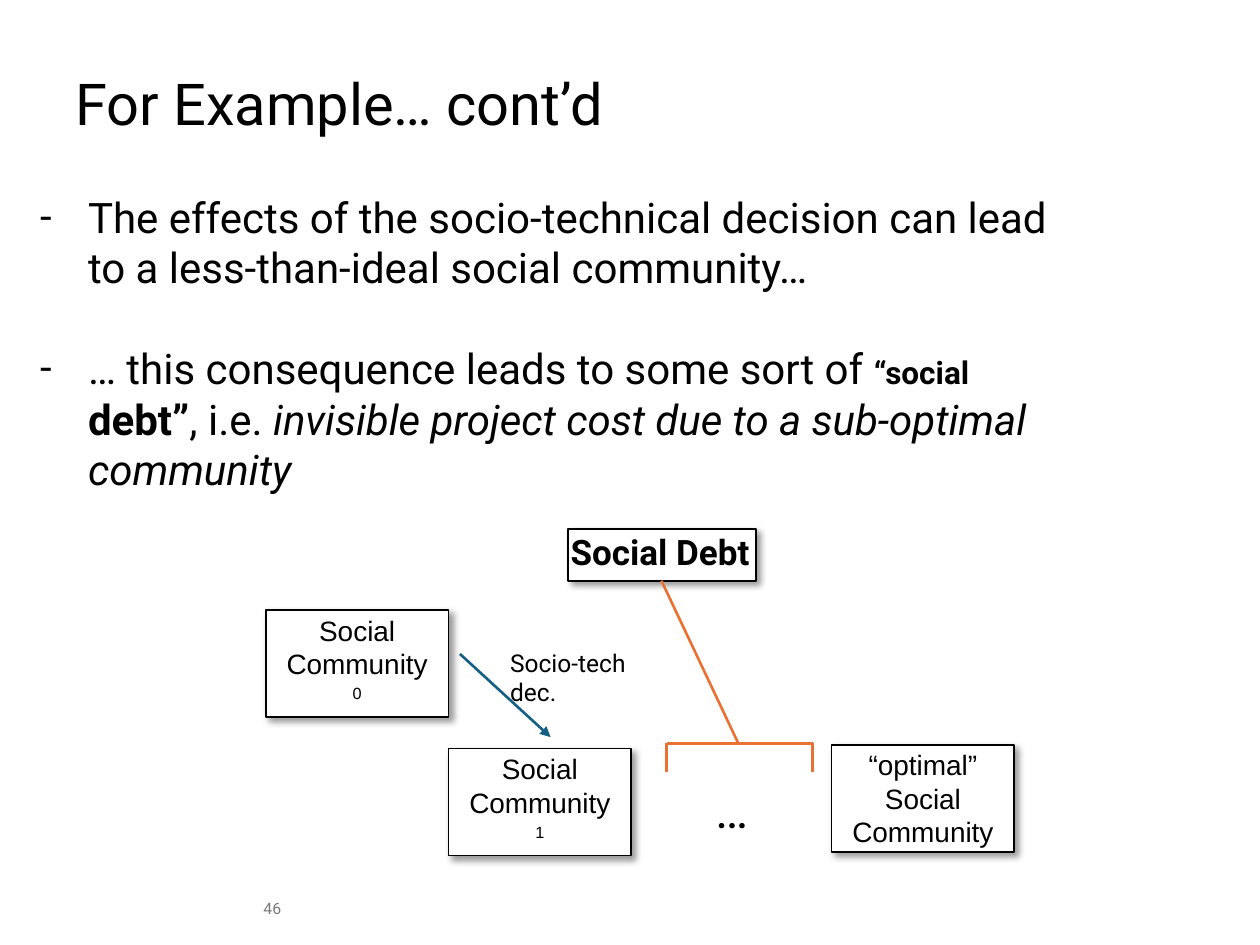
from lxml import etree
from pptx import Presentation
from pptx.dml.color import RGBColor
from pptx.enum import shapes, text
from pptx.oxml import parse_xml
from pptx.oxml.ns import nsdecls, qn
from pptx.util import Inches, Pt

COLORS = {"ink": "000000", "paper": "FFFFFF", "page": "797979",
          "arrow": "156082", "debt": "E97132"}

# Content: each paragraph is a list of (words, format) runs
TITLE = [[("For Example… cont’d", {})]]
BODY = [
    [("The effects of the socio-technical decision can lead to a "
      "less-than-ideal social community…", {})],
    [("… this consequence leads to some sort of ", {}),
     ("“social ", {"size": 18, "bold": True}),
     ("debt”", {"bold": True}),
     (", i.e. ", {}),
     ("invisible project cost due to a sub-optimal community", {"italic": True})],
]
SUPER = {"base": 30}
BOXES = [  # left, top, width, height, paragraphs
    (2.11, 4.84, 1.45, 0.85, [[("Social Community ", {}), ("0", SUPER)]]),
    (3.56, 5.94, 1.45, 0.85, [[("Social Community ", {}), ("1", SUPER)]]),
    (6.6, 5.91, 1.45, 0.85, [[("“optimal” Social Community", {})]]),
    (4.51, 4.2, 1.49, 0.41, []),
]
LEFT, RIGHT, TOP, FOOT = 5.29, 6.45, 5.9, 6.13
LINES = [  # start, end, colour, arrowhead
    ((3.65, 5.19), (4.37, 5.85), "arrow", True),
    ((LEFT, TOP), (RIGHT, TOP), "debt", False),
    ((LEFT, FOOT), (LEFT, TOP), "debt", False),
    ((RIGHT, FOOT), (RIGHT, TOP), "debt", False),
    ((5.86, TOP), (5.25, 4.61), "debt", False),
]

deck = Presentation()
deck.slide_width, deck.slide_height = Inches(10), Inches(7.5)
slide = deck.slides.add_slide(deck.slide_layouts[6])


def rgb(name):
    return RGBColor.from_string(COLORS[name])


def write(frame, paras, size=24, font="Roboto", color="ink", bold=False,
          align="LEFT", anchor="TOP", wrap=True, spacing=None, gap=0, bullet=None):
    frame.word_wrap = wrap
    frame.vertical_anchor = getattr(text.MSO_ANCHOR, anchor)
    for i, runs in enumerate(paras):
        para = frame.add_paragraph() if i else frame.paragraphs[0]
        if bullet:
            props = para._p.get_or_add_pPr()
            props.set("marL", str(Inches(0.38)))
            props.set("indent", str(-Inches(0.38)))
            etree.SubElement(props, qn("a:buFont")).set("typeface", font)
            etree.SubElement(props, qn("a:buChar")).set("char", bullet)
        para.alignment = getattr(text.PP_ALIGN, align)
        if spacing:
            para.line_spacing = spacing
        if i and gap:
            para.space_before = Pt(gap)
        for words, style in runs:
            run = para.add_run()
            run.text = words
            run.font.name = font
            run.font.size = Pt(style.get("size", size))
            run.font.bold = style.get("bold", bold)
            run.font.italic = style.get("italic", False)
            run.font.color.rgb = rgb(color)
            if "base" in style:
                run.font._element.set("baseline", str(style["base"] * 1000))


def label(place, paras, **style):
    box = slide.shapes.add_textbox(*map(Inches, place))
    write(box.text_frame, paras, **style)


def card(place, paras):
    box = slide.shapes.add_shape(shapes.MSO_SHAPE.RECTANGLE, *map(Inches, place))
    box.fill.solid()
    box.fill.fore_color.rgb = rgb("paper")
    box.line.color.rgb = rgb("ink")
    box.line.width = Pt(1)
    box.shadow.inherit = False
    glow = box._element.spPr.find(qn("a:effectLst"))
    glow.append(parse_xml(
        f'<a:outerShdw {nsdecls("a")} blurRad="{Pt(4)}" dist="{Pt(3)}" '
        f'dir="{45 * 60000}" algn="tl" rotWithShape="0">'
        f'<a:srgbClr val="{COLORS["ink"]}"><a:alpha val="40000"/></a:srgbClr>'
        '</a:outerShdw>'))
    write(box.text_frame, paras, size=16, font="Arial", align="CENTER", anchor="MIDDLE")


def link(start, end, color, arrow):
    line = slide.shapes.add_connector(
        shapes.MSO_CONNECTOR.STRAIGHT, *map(Inches, start + end))
    line.line.color.rgb = rgb(color)
    line.line.width = Pt(1.5)
    if arrow:
        etree.SubElement(line.line._get_or_add_ln(), qn("a:tailEnd")).set("type", "triangle")
    etree.SubElement(line._element.spPr, qn("a:effectLst"))


# Title, bullets and page number
label((0.5, 0.22, 9, 1.25), TITLE, size=33, anchor="MIDDLE", spacing=0.9)
label((0.22, 1.47, 8.39, 2.12), BODY, bullet="-", gap=29)
label((0, 7.01, 2.33, 0.4), [[("46", {})]], size=9, color="page",
      align="RIGHT", anchor="MIDDLE")

# Diagram
for *place, paras in BOXES:
    card(place, paras)
for row in LINES:
    link(*row)
label((5.58, 6.14, 0.59, 0.57), [[("…", {})]], size=28, wrap=False)
label((3.95, 5.09, 1.41, 0.34), [[("Socio-tech dec.", {})]], size=14)
label((4.43, 4.16, 2.26, 0.44), [[("Social Debt", {})]], size=20, bold=True)

deck.save("out.pptx")
